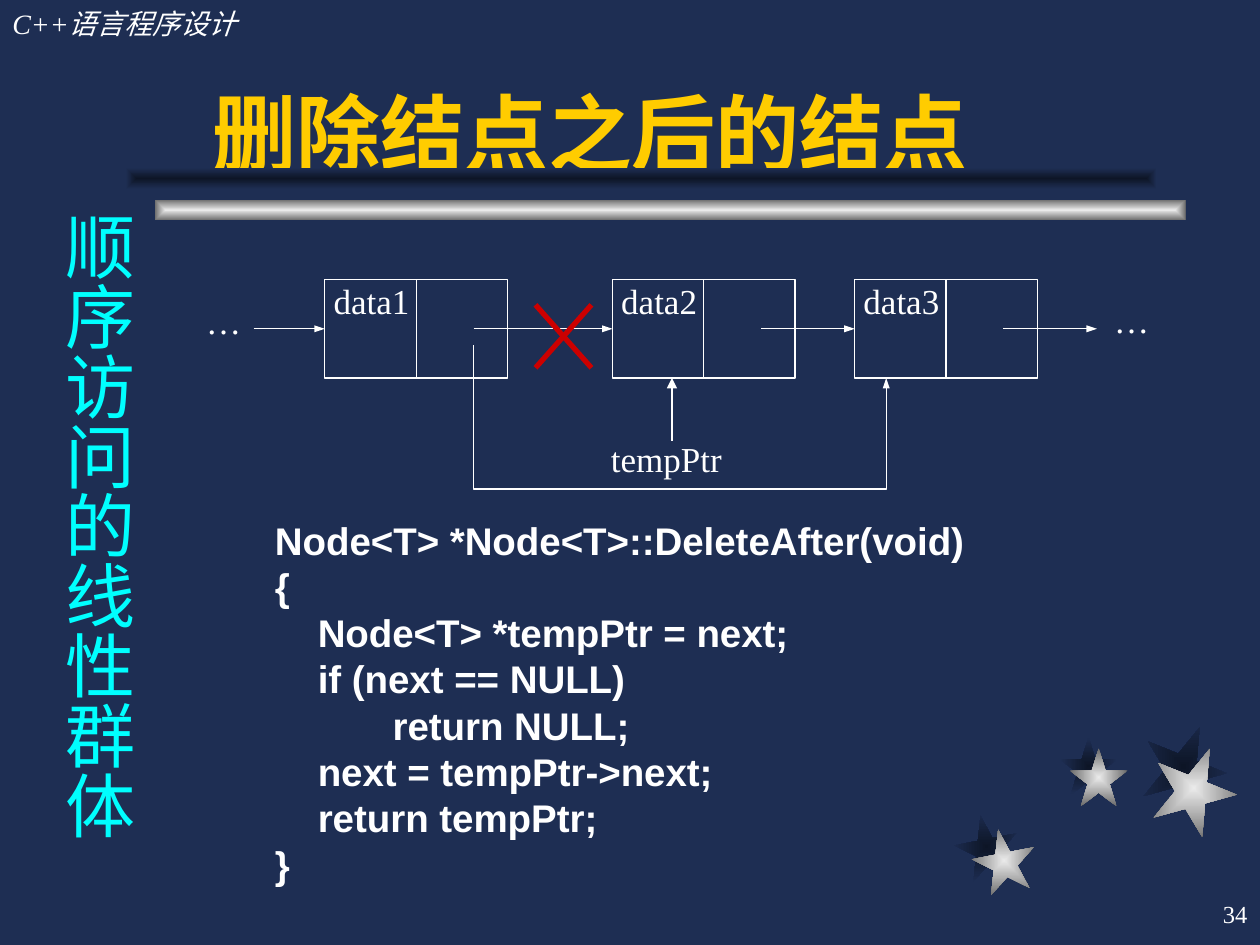
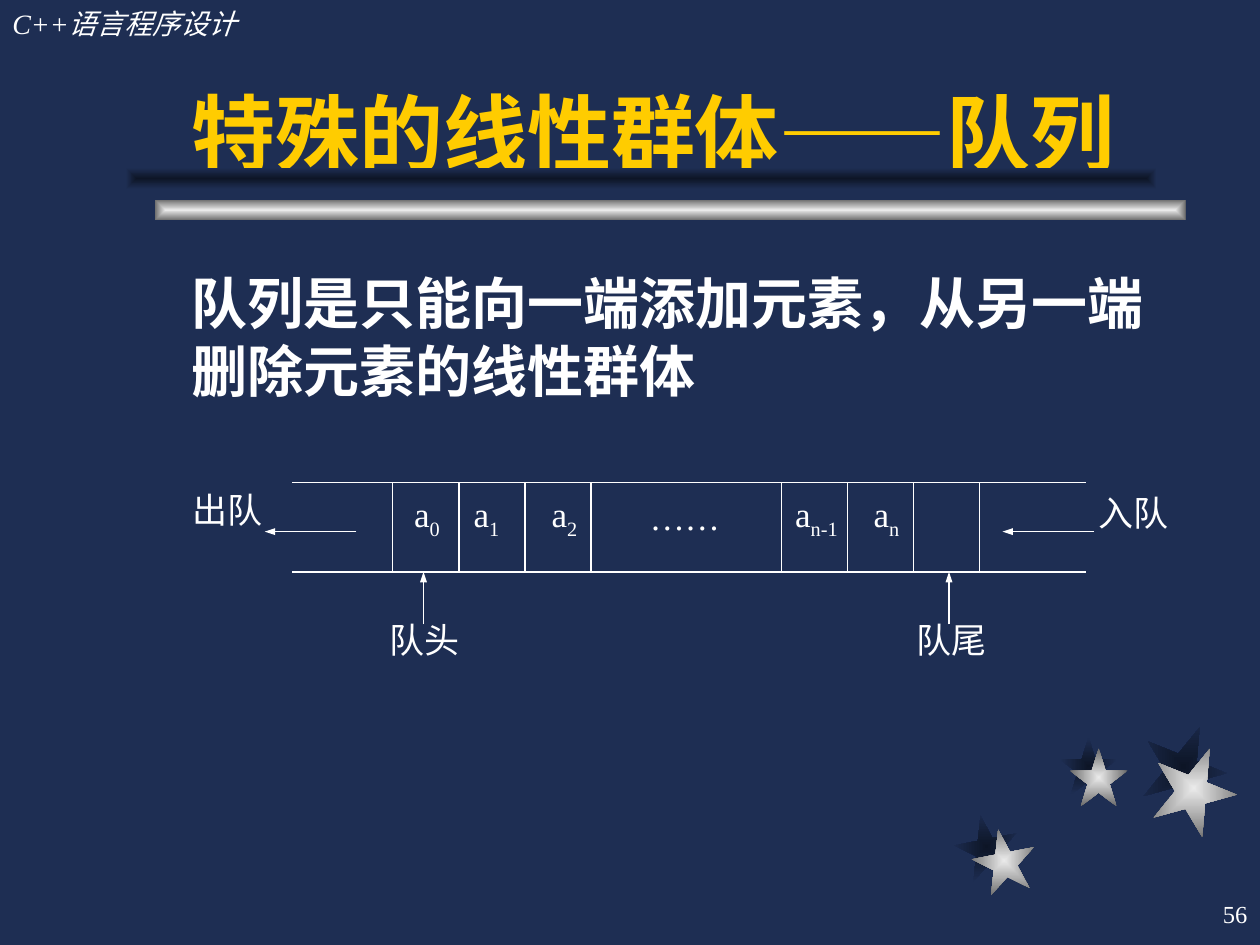
from lxml import etree
from pptx import Presentation
from pptx.dml.color import RGBColor as RGB
from pptx.enum.shapes import MSO_CONNECTOR as Line, MSO_SHAPE as Kind
from pptx.enum.text import MSO_ANCHOR as Anchor, MSO_AUTO_SIZE as Auto, PP_ALIGN as Align
from pptx.oxml.ns import qn
from pptx.util import Pt

HUE = {"navy": "1E2E53", "dark": "0D1526", "light": "EAEAEA", "gray": "6B6B6B",
       "gold": "FFCC00", "cyan": "00FFFF", "white": "FFFFFF", "red": "CC0000"}
SERIF, SANS, HAN = "Times New Roman", "Arial", "Noto Sans CJK SC"
PAD = (7.2, 3.6, 7.2, 3.6)
BARE = (0, 0, 0, 0)
STARS = [(555.84, 473.76, 36, 349), (611.28, 427.68, 33.12, 0), (658.08, 426.24, 48.24, 22)]
SHADES = [(545.76, 465.84, 36, 349), (605.52, 421.2, 33.12, 0), (652.32, 414, 48.24, 22)]


def tint(name):
    return RGB.from_string(HUE[name])


def place(shape, box):
    shape.left, shape.top, shape.width, shape.height = map(Pt, box)


def style(para, size, hue="white", font=SERIF, bold=False, align=Align.LEFT):
    para.alignment = align
    para.font.size, para.font.name, para.font.bold = Pt(size), font, bold
    para.font.color.rgb = tint(hue)


def frame(shape, pad, anchor=Anchor.TOP):
    text = shape.text_frame
    text.word_wrap, text.auto_size = True, Auto.NONE
    text.vertical_anchor = anchor
    text.margin_left, text.margin_top, text.margin_right, text.margin_bottom = map(Pt, pad)
    return text


def label(slide, box, words, size=20, pad=PAD, anchor=Anchor.TOP, **look):
    text = frame(slide.shapes.add_textbox(*map(Pt, box)), pad, anchor)
    text.text = words
    style(text.paragraphs[0], size, **look)
    return text


def head(shape, width="sm"):
    line = shape.line._get_or_add_ln()
    etree.SubElement(line, qn("a:tailEnd"), type="triangle", w=width, len="med")


def rule(slide, x1, y1, x2, y2, hue="white", weight=0.75, arrow=None):
    line = slide.shapes.add_connector(Line.STRAIGHT, *map(Pt, (x1, y1, x2, y2)))
    line.line.color.rgb, line.line.width = tint(hue), Pt(weight)
    etree.SubElement(line._element.spPr, qn("a:effectLst"))
    if arrow:
        head(line, arrow)
    return line


def glow(slide, kind, box, inner, outer, turn=0):
    shape = slide.shapes.add_shape(kind, *map(Pt, box))
    shape.shadow.inherit = False
    shape.line.fill.background()
    shape.rotation = turn
    shape.fill.gradient()
    for stop, hue, spot in zip(shape.fill.gradient_stops, (inner, outer), (0, 1)):
        stop.color.rgb, stop.position = tint(hue), spot
    grad = shape._element.spPr.find(qn("a:gradFill"))
    grad.remove(grad.find(qn("a:lin")))
    route = etree.SubElement(grad, qn("a:path"), path="rect")
    etree.SubElement(route, qn("a:fillToRect"), l="50000", t="50000", r="50000", b="50000")


def base(deck, layout, title, number, shift=0):
    slide = deck.slides.add_slide(deck.slide_layouts[layout])
    for stars, hues in ((SHADES, ("dark", "navy")), (STARS, ("light", "gray"))):
        for x, y, size, turn in stars:
            glow(slide, Kind.STAR_5_POINT, (x, y, size, size), *hues, turn)
    glow(slide, Kind.RECTANGLE, (88.56, 114, 589, 12), "light", "gray")
    glow(slide, Kind.RECTANGLE, (72, 96, 589, 12), "dark", "navy")
    label(slide, (0, 0, 222, 26.64), "C++语言程序设计", 16).paragraphs[0].font.italic = True
    place(slide.shapes.title, (102, 18, 564, 90))
    text = frame(slide.shapes.title, (7.2 + shift, 3.6, 7.2, 3.6), Anchor.BOTTOM)
    text.text = title
    style(text.paragraphs[0], 48, "gold", SANS, True)
    label(slide, (570, 504, 150, 36), number, 14, anchor=Anchor.MIDDLE, align=Align.RIGHT)
    return slide


def side(slide, box, words):
    text = label(slide, box, words, 40, (3.6, 7.2, 3.6, 7.2), hue="cyan", font=HAN)
    text._txBody.bodyPr.set("vert", "eaVert")
    props = text.paragraphs[0].runs[0].font._element
    etree.SubElement(props, qn("a:ea"), typeface=HAN)


def node(slide, box, name):
    x, y, w, h = box
    cell = slide.shapes.add_shape(Kind.RECTANGLE, *map(Pt, box))
    cell.shadow.inherit = False
    cell.fill.background()
    cell.line.color.rgb, cell.line.width = tint("white"), Pt(0.75)
    text = frame(cell, (5, 0, 0, 0))
    text.text = name
    style(text.paragraphs[0], 20)
    rule(slide, x + w / 2, y, x + w / 2, y + h)
    return cell


def chain(slide, box):
    x, y, w, h = box
    wide, tall, lead = 104.4, 56.2, 85
    mid = y + tall / 2
    lefts = [x + 77.6, x + 242, x + 380.4]
    cells = [node(slide, (left, y, wide, tall), f"data{i}") for i, left in enumerate(lefts, 1)]
    starts = [x + 37] + [left + lead for left in lefts]
    ends = lefts + [lefts[-1] + 138.4]
    for start, end, cell in zip(starts, ends, cells + [None]):
        line = rule(slide, start, mid, end, mid, arrow="sm")
        if cell:
            line.end_connect(cell, 1)
    label(slide, (x, y + 11.6, 39.6, 44.6), "…", pad=BARE, align=Align.CENTER)
    label(slide, (x + w - 57.6, y + 7.2, 57.6, 61.2), "…", align=Align.CENTER)

    out, turn = starts[1], lefts[2] + 18
    pen = slide.shapes.build_freeform(Pt(out), Pt(y + 37.5))
    pen.add_line_segments([(Pt(out), Pt(y + h)), (Pt(turn), Pt(y + h)),
                           (Pt(turn), Pt(y + tall))], close=False)
    path = pen.convert_to_shape()
    path.shadow.inherit = False
    path.fill.background()
    path.line.color.rgb, path.line.width = tint("white"), Pt(0.75)
    head(path)

    cut, top = x + 198, y + 14.4
    for a, b in ((cut + 32, cut), (cut, cut + 32)):
        rule(slide, a, top, b, top + 36, "red", 3)
    label(slide, (lefts[1] - 8, y + 86.4, 77.8, 31.7), "tempPtr")
    rule(slide, lefts[1] + 34, y + 92, lefts[1] + 34, y + tall, arrow="med")


def code(slide, box, lines):
    text = label(slide, box, "\n".join(words for _, words in lines))
    for para, (inset, _) in zip(text.paragraphs, lines):
        style(para, 22, font=SANS, bold=True)
        para.line_spacing = Pt(26.45)
        para._p.get_or_add_pPr().set("marL", str(Pt(inset)))


def body(slide, box, words):
    shape = slide.placeholders[1]
    place(shape, box)
    text = frame(shape, PAD)
    text.text = words
    para = text.paragraphs[0]
    style(para, 32, bold=True)
    para.space_before = Pt(8)
    props = para._p.get_or_add_pPr()
    props.set("marL", "0")
    props.set("indent", "0")
    props.insert_element_before(etree.Element(qn("a:buNone")), "a:tabLst", "a:defRPr", "a:extLst")


def queue(slide, box):
    x, y, w, h = box
    step = 37.75
    for level in (y, y + h):
        rule(slide, x, level, x + w, level)
    for start in (x + 57.5, x + 279.5):
        for i in range(4):
            rule(slide, start + i * step, y, start + i * step, y + h)
    for mid, sub in ((77, "0"), (111, "1"), (155.5, "2"), (299.5, "n-1"), (339.5, "n")):
        text = label(slide, (x + mid - 20, y + 5.5, 40, 44), "a", pad=BARE, align=Align.CENTER)
        run = text.paragraphs[0].add_run()
        run.text = sub
        run.font._element.set("baseline", "-25000")
    for left, top, words in ((188, 3.6, "……"), (39, 74, "队头"), (340.6, 74, "队尾"),
                             (444.3, 1.4, "入队"), (-73.4, 0, "出队")):
        label(slide, (x + left, y + top, 72.7, 46), words, align=Align.CENTER)
    for mid in (75, 375.3):
        rule(slide, x + mid, y + 81, x + mid, y + h, arrow="sm")
    for start in (36.7, 458.2):
        rule(slide, x + start, y + 28, x + start - 52.4, y + 28, arrow="sm")


def main():
    deck = Presentation()
    deck.slide_width, deck.slide_height = Pt(720), Pt(540)
    fill = deck.slide_master.background.fill
    fill.solid()
    fill.fore_color.rgb = tint("navy")

    slide = base(deck, 5, "删除结点之后的结点", "34", 12)
    side(slide, (21.6, 113.76, 61.92, 377.28), "顺序访问的线性群体")
    chain(slide, (108, 159.8, 567.4, 119.6))
    code(slide, (150, 291.6, 545.76, 218.88), [
        (0, "Node<T> *Node<T>::DeleteAfter(void)"),
        (0, "{"),
        (24.5, "Node<T> *tempPtr = next;"),
        (24.5, "if (next == NULL)"),
        (67.25, "return NULL;"),
        (24.5, "next = tempPtr->next;"),
        (24.5, "return tempPtr;"),
        (0, "}")])

    slide = base(deck, 1, "特殊的线性群体——队列", "56")
    body(slide, (102, 150, 570, 114), "队列是只能向一端添加元素，从另一端删除元素的线性群体")
    queue(slide, (167, 275.8, 453.8, 51))
    deck.save("out.pptx")


if __name__ == "__main__":
    main()
